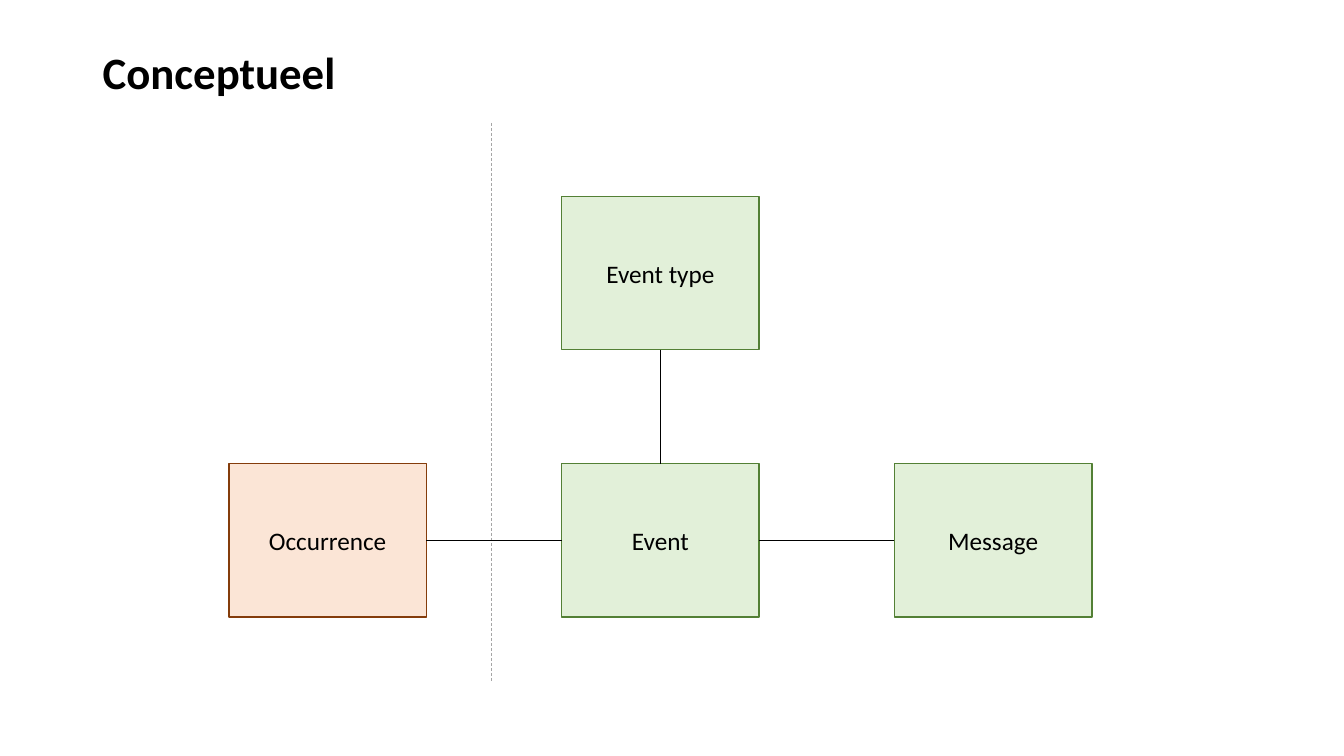
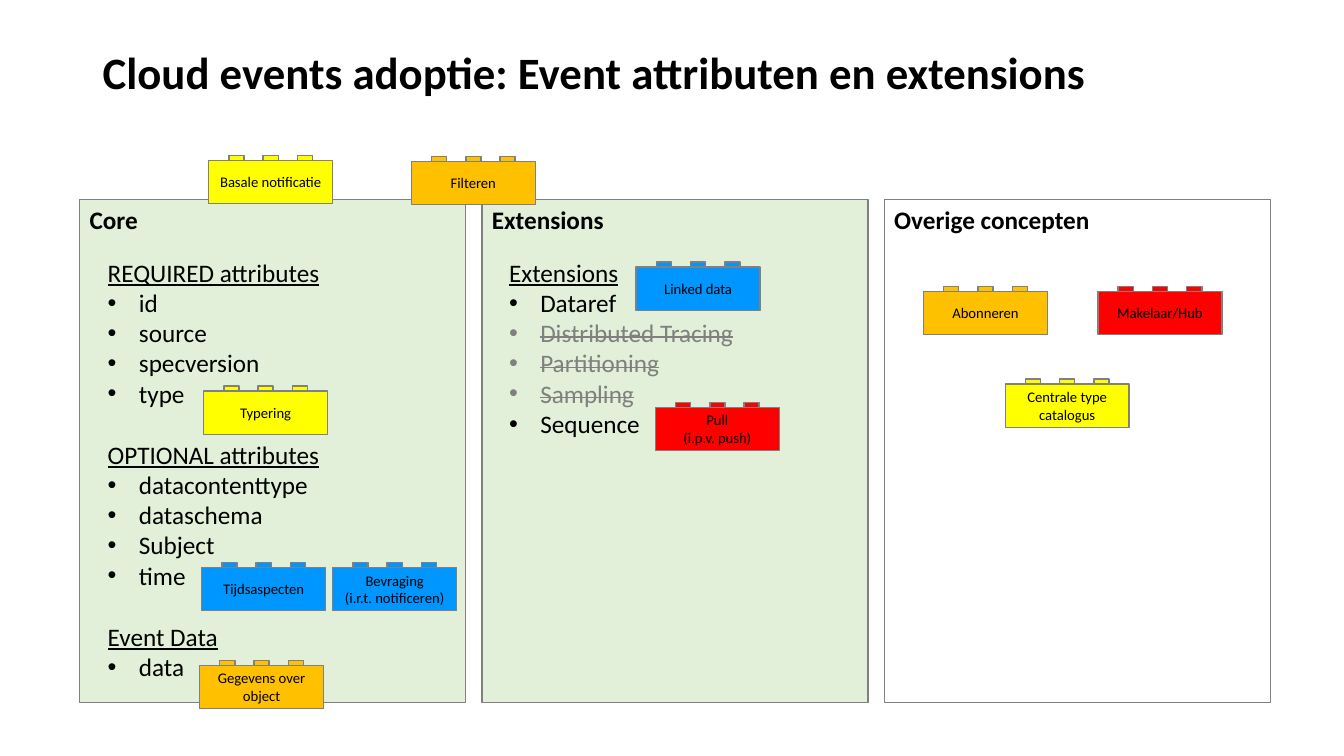
from lxml import etree
from pptx import Presentation
from pptx.dml.color import RGBColor
from pptx.enum import dml, shapes, text
from pptx.oxml import ns
from pptx.util import Inches, Pt

BLACK = RGBColor(0x00, 0x00, 0x00)
WHITE = RGBColor(0xFF, 0xFF, 0xFF)
GREY = RGBColor(0x80, 0x80, 0x80)
SILVER = RGBColor(0xA5, 0xA5, 0xA5)
MINT = RGBColor(0xE2, 0xF0, 0xD9)
GREEN = RGBColor(0x53, 0x80, 0x35)
PEACH = RGBColor(0xFB, 0xE5, 0xD6)
BROWN = RGBColor(0x84, 0x3C, 0x0B)
YELLOW = RGBColor(0xFF, 0xFF, 0x00)
ORANGE = RGBColor(0xFF, 0xC0, 0x00)
BLUE = RGBColor(0x00, 0x96, 0xFF)
RED = RGBColor(0xFF, 0x00, 0x00)

TOP, LEFT, BOTTOM, RIGHT = range(4)
MIDDLE = text.MSO_ANCHOR.MIDDLE
CENTER = text.PP_ALIGN.CENTER


class Deck:
    font = "Calibri"
    size = 18

    def __init__(self):
        self.prs = Presentation()
        self.prs.slide_width = Inches(13.33)
        self.prs.slide_height = Inches(7.5)
        self.slide = None

    def style(self, para, size=size, bold=None, color=BLACK):
        font = para.font
        font.name, font.size, font.bold = self.font, Pt(size), bold
        font.color.rgb = color
        return font

    def start(self, title):
        """Add a slide with its title."""
        self.slide = self.prs.slides.add_slide(self.prs.slide_layouts[6])
        box = self.slide.shapes.add_textbox(
            Inches(0.92), Inches(0.4), Inches(11.5), Inches(0.69))
        frame = box.text_frame
        frame.word_wrap = True
        frame.vertical_anchor = MIDDLE
        para = frame.paragraphs[0]
        para.text = title
        para.line_spacing = 0.9
        self.style(para, 32, True)

    def rect(self, x, y, w, h, fill, edge=GREY, home=None):
        home = home or self.slide.shapes
        box = home.add_shape(shapes.MSO_SHAPE.RECTANGLE,
                             Inches(x), Inches(y), Inches(w), Inches(h))
        box.shadow.inherit = False
        box.fill.solid()
        box.fill.fore_color.rgb = fill
        box.line.color.rgb = edge
        box.line.width = Pt(1)
        return box

    def label(self, box, lines, size=size, bold=None,
              align=CENTER, anchor=MIDDLE):
        frame = box.text_frame
        frame.vertical_anchor = anchor
        for i, line in enumerate(lines):
            para = frame.add_paragraph() if i else frame.paragraphs[0]
            para.text = line
            para.alignment = align
            self.style(para, size, bold)

    def node(self, x, y, name, fill=MINT, edge=GREEN):
        box = self.rect(x, y, 1.96, 1.52, fill, edge)
        self.label(box, [name])
        return box

    def line(self, x1, y1, x2, y2, color=BLACK):
        wire = self.slide.shapes.add_connector(
            shapes.MSO_CONNECTOR.STRAIGHT,
            Inches(x1), Inches(y1), Inches(x2), Inches(y2))
        wire.line.color.rgb = color
        wire.line.width = Pt(0.5)
        etree.SubElement(wire._element.spPr, ns.qn("a:effectLst"))
        return wire

    def join(self, start, side, end, other):
        wire = self.line(0, 0, 1, 1)
        wire.begin_connect(start, side)
        wire.end_connect(end, other)

    def panel(self, x, name, fill):
        box = self.rect(x, 1.98, 3.83, 4.99, fill)
        self.label(box, [name], bold=True, align=text.PP_ALIGN.LEFT,
                   anchor=text.MSO_ANCHOR.TOP)

    def lists(self, x, w, h, groups, struck=()):
        """Write underlined heads, each with its bullets."""
        box = self.slide.shapes.add_textbox(
            Inches(x), Inches(2.5), Inches(w), Inches(h))
        frame = box.text_frame
        frame.word_wrap = False
        frame.auto_size = text.MSO_AUTO_SIZE.SHAPE_TO_FIT_TEXT
        para = frame.paragraphs[0]
        for i, (head, items) in enumerate(groups):
            if i:
                para = frame.add_paragraph()
                para.space_before = Pt(22)
            para.text = head
            self.style(para).underline = True
            for item in items:
                para = frame.add_paragraph()
                para.text = item
                self.bullet(para)
                out = item in struck
                font = self.style(para, color=GREY if out else BLACK)
                if out:
                    font._element.set("strike", "sngStrike")

    def bullet(self, para):
        props = para._p.get_or_add_pPr()
        props.set("marL", str(Inches(0.31)))
        props.set("indent", str(-Inches(0.31)))
        face = etree.SubElement(props, ns.qn("a:buFont"))
        face.set("typeface", "Arial")
        etree.SubElement(props, ns.qn("a:buChar")).set("char", "•")

    def brick(self, x, y, fill, *lines):
        """Draw a labelled block with three studs on top."""
        home = self.slide.shapes.add_group_shape().shapes
        for i in range(3):
            self.rect(x + 0.2 + 0.34 * i, y - 0.05, 0.15, 0.05, fill,
                      home=home)
        box = self.rect(x, y, 1.23, 0.43, fill, home=home)
        self.label(box, lines, 10.5)


def concept(deck):
    deck.start("Conceptueel")
    split = deck.line(4.87, 1.22, 4.87, 6.77, SILVER)
    split.line.dash_style = dml.MSO_LINE.DASH
    left, mid, right = (2.27 + 3.3 * i for i in range(3))
    high, low = 1.95, 4.6
    event = deck.node(mid, low, "Event")
    kind = deck.node(mid, high, "Event type")
    note = deck.node(right, low, "Message")
    fact = deck.node(left, low, "Occurrence", PEACH, BROWN)
    deck.join(kind, BOTTOM, event, TOP)
    deck.join(note, LEFT, event, RIGHT)
    deck.join(event, LEFT, fact, RIGHT)


def adoption(deck):
    deck.start("Cloud events adoptie: Event attributen en extensions")
    panels = [("Core", MINT), ("Extensions", MINT),
              ("Overige concepten", WHITE)]
    for i, (name, fill) in enumerate(panels):
        deck.panel(0.79 + 3.99 * i, name, fill)
    deck.lists(0.97, 2.33, 4.34, [
        ("REQUIRED attributes", ["id", "source", "specversion", "type"]),
        ("OPTIONAL attributes",
         ["datacontenttype", "dataschema", "Subject", "time"]),
        ("Event Data", ["data"]),
    ])
    struck = ["Distributed Tracing", "Partitioning", "Sampling"]
    deck.lists(4.95, 2.45, 2.22,
               [("Extensions", ["Dataref", *struck, "Sequence"])], struck)
    bricks = [
        (2.07, 1.59, YELLOW, "Basale notificatie"),
        (1.98, 6.6, ORANGE, "Gegevens over object"),
        (2.02, 3.88, YELLOW, "Typering"),
        (6.31, 2.65, BLUE, "Linked data"),
        (2, 5.63, BLUE, "Tijdsaspecten"),
        (4.08, 1.6, ORANGE, "Filteren"),
        (9.16, 2.89, ORANGE, "Abonneren"),
        (6.5, 4.04, RED, "Pull", "(i.p.v. push)"),
        (10.89, 2.89, RED, "Makelaar/Hub"),
        (9.97, 3.81, YELLOW, "Centrale type", "catalogus"),
        (3.3, 5.63, BLUE, "Bevraging", "(i.r.t. notificeren)"),
    ]
    for item in bricks:
        deck.brick(*item)


def main():
    deck = Deck()
    concept(deck)
    adoption(deck)
    deck.prs.save("out.pptx")


if __name__ == "__main__":
    main()
